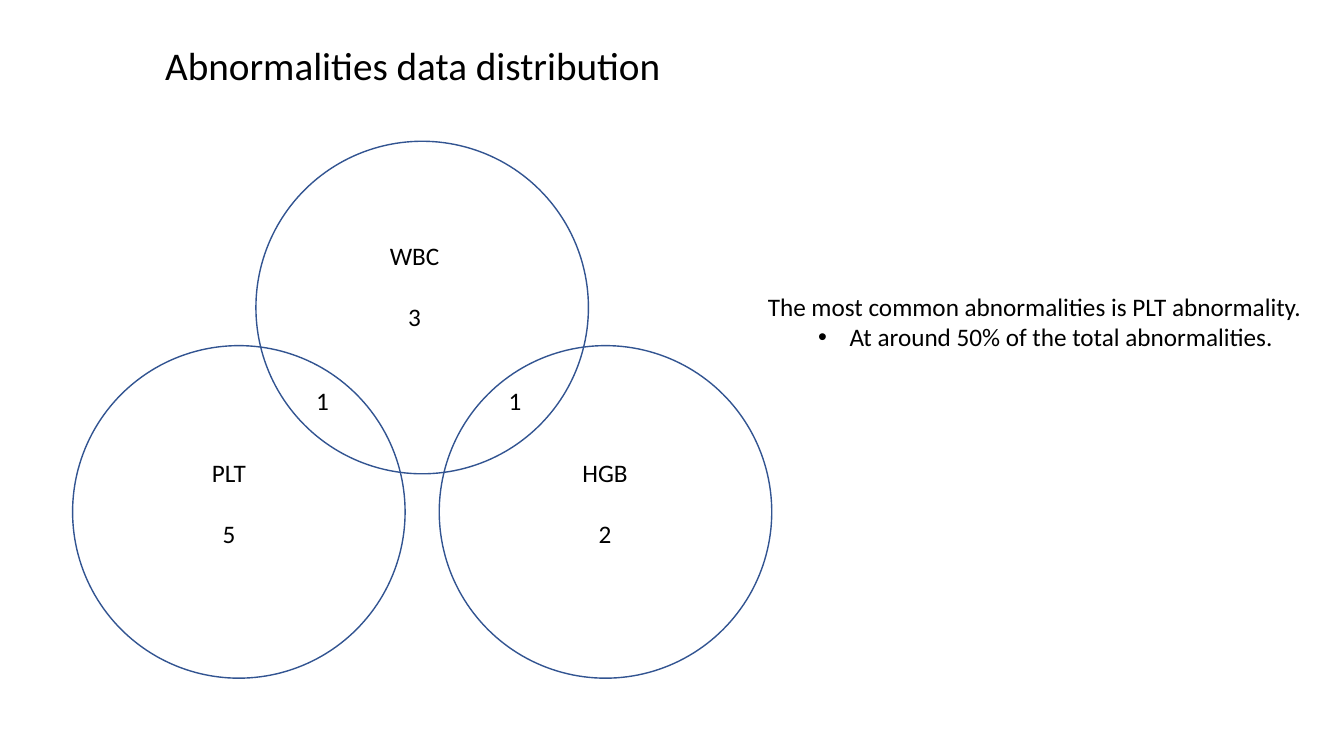
"""Build a slide with a three-circle diagram of abnormality counts."""
from dataclasses import dataclass

from lxml.etree import SubElement
from pptx import Presentation
from pptx.dml.color import RGBColor
from pptx.enum.shapes import MSO_SHAPE as Shape
from pptx.enum.text import MSO_ANCHOR as Anchor, MSO_AUTO_SIZE as AutoSize, PP_ALIGN as Align
from pptx.oxml.ns import qn
from pptx.util import Cm, Pt


@dataclass(frozen=True)
class Theme:
    font: str = "Calibri"
    ink: RGBColor = RGBColor(0x00, 0x00, 0x00)
    outline: RGBColor = RGBColor(0x32, 0x54, 0x91)
    title_size: Pt = Pt(28)
    body_size: Pt = Pt(18)
    count_gap: Pt = Pt(22)


theme = Theme()


def write(box, lines, size, align=Align.LEFT, wrap=True):
    """Fill a box with one styled paragraph per line."""
    frame = box.text_frame
    frame.text = "\n".join(lines)
    frame.word_wrap = wrap
    frame.auto_size = AutoSize.NONE
    frame.vertical_anchor = Anchor.TOP
    for para in frame.paragraphs:
        para.alignment = align
        for span in para.runs:
            span.font.name = theme.font
            span.font.size = size
            span.font.color.rgb = theme.ink
    return frame.paragraphs


deck = Presentation()
deck.slide_width, deck.slide_height = Cm(33.87), Cm(19.05)
page = deck.slides.add_slide(deck.slide_layouts[5])

title = page.shapes.title
title.left, title.top, title.width, title.height = Cm(3.91), Cm(0.91), Cm(13.13), Cm(2.64)
write(title, ["Abnormalities data distribution"], theme.title_size, wrap=False)

diameter = Cm(8.38)
label_width = Cm(2.2)
groups = [
    ("WBC", "3", Cm(6.45), Cm(3.56), Cm(10.45), Cm(5.92)),
    ("HGB", "2", Cm(11.07), Cm(8.71), Cm(15.25), Cm(11.4)),
    ("PLT", "5", Cm(1.83), Cm(8.71), Cm(5.77), Cm(11.4)),
]
for name, count, left, top, label_center, label_top in groups:
    circle = page.shapes.add_shape(Shape.OVAL, left, top, diameter, diameter)
    circle.shadow.inherit = False
    circle.fill.background()
    circle.line.color.rgb = theme.outline
    circle.line.width = Pt(1)
    label = page.shapes.add_textbox(
        label_center - label_width // 2, label_top, label_width, Cm(2.57))
    paras = write(label, [name, count], theme.body_size, Align.CENTER)
    paras[1].space_before = theme.count_gap

for overlap_left in (Cm(7.72), Cm(12.57)):
    overlap = page.shapes.add_textbox(overlap_left, Cm(9.58), Cm(0.84), Cm(1.02))
    write(overlap, ["1"], theme.body_size, wrap=False)

finding = page.shapes.add_textbox(Cm(19.1), Cm(7.21), Cm(14.12), Cm(1.8))
paras = write(finding, [
    "The most common abnormalities is PLT abnormality.",
    "At around 50% of the total abnormalities.",
], theme.body_size)
paras[1].level = 1
bullet_format = paras[1]._p.get_or_add_pPr()
bullet_format.set("marL", str(Cm(2.06)))
bullet_format.set("indent", str(-Cm(0.79)))
SubElement(bullet_format, qn("a:buFont"), typeface="Arial")
SubElement(bullet_format, qn("a:buChar"), char="•")

deck.save("out.pptx")
